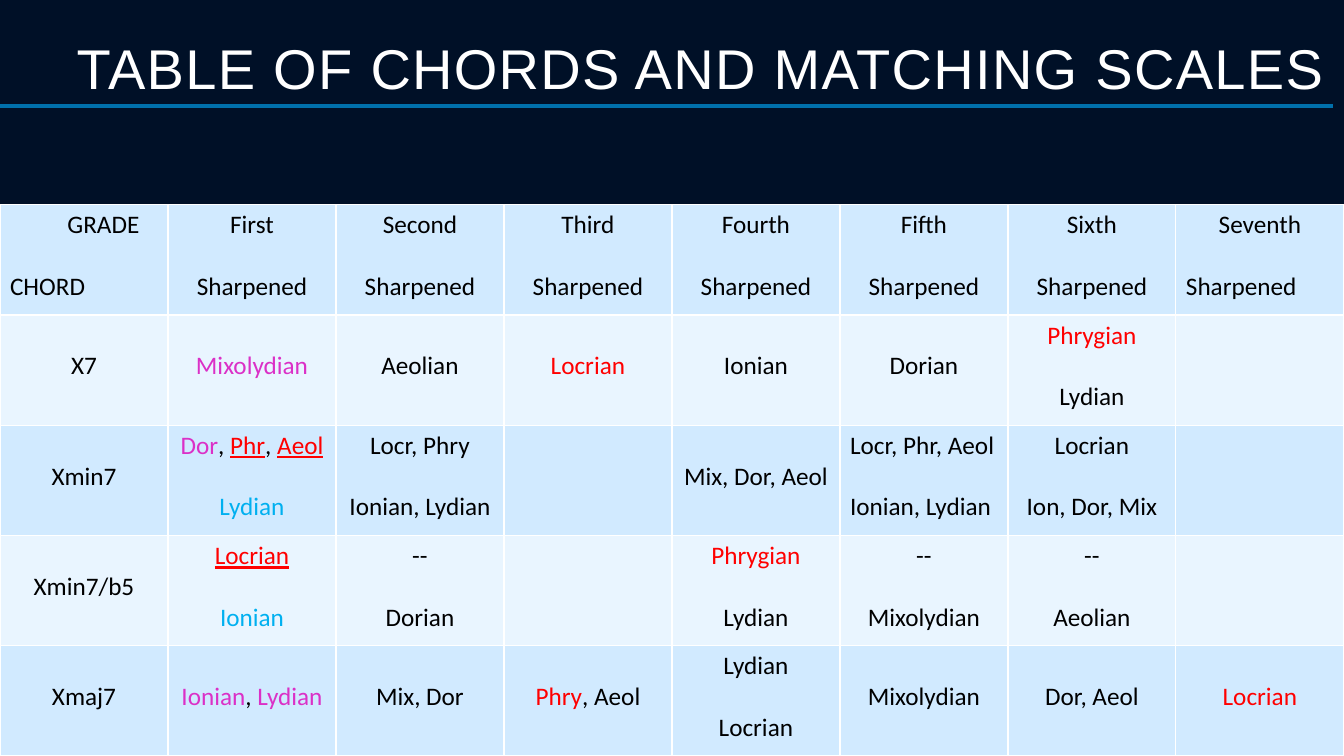
from dataclasses import dataclass

from lxml import etree
from pptx import Presentation
from pptx.dml.color import RGBColor
from pptx.enum.shapes import MSO_CONNECTOR
from pptx.enum.text import MSO_ANCHOR, PP_ALIGN
from pptx.oxml.ns import qn
from pptx.util import Pt

LEFT, CENTER, JUSTIFY = PP_ALIGN.LEFT, PP_ALIGN.CENTER, PP_ALIGN.JUSTIFY
MIDDLE = MSO_ANCHOR.MIDDLE
STRAIGHT = MSO_CONNECTOR.STRAIGHT


@dataclass(frozen=True)
class Theme:
    background: str = "001027"
    title: str = "FFFFFF"
    rule: str = "0070AB"
    border: str = "FFFFFF"
    bands: tuple = ("D1EAFF", "E9F5FF")
    text: str = "000000"
    pink: str = "DB30C7"
    red: str = "FF0000"
    blue: str = "00B0F0"
    title_font: str = "Arial"
    table_font: str = "Calibri"
    title_size: int = 40
    table_size: int = 18
    line_gap: int = 22


THEME = Theme()
SLIDE_W, SLIDE_H = 960, 540


@dataclass(frozen=True)
class Ink:
    text: str
    color: str = THEME.text
    underline: bool = False


def pink(text):
    return Ink(text, THEME.pink)


def red(text, underline=False):
    return Ink(text, THEME.red, underline)


def blue(text):
    return Ink(text, THEME.blue)


# A cell is a list of lines; a line is a string, an Ink or a list of Inks.
ORDINALS = ["First", "Second", "Third", "Fourth", "Fifth", "Sixth", "Seventh"]
COMMA = Ink(", ")
ROWS = [
    [["GRADE", "CHORD"]] + [[ordinal, "Sharpened"] for ordinal in ORDINALS],
    [["X7"], [pink("Mixolydian")], ["Aeolian"], [red("Locrian")], ["Ionian"],
     ["Dorian"], [red("Phrygian"), "Lydian"], []],
    [["Xmin7"],
     [[pink("Dor"), COMMA, red("Phr", True), COMMA, red("Aeol", True)],
      blue("Lydian")],
     ["Locr, Phry", "Ionian, Lydian"], [], ["Mix, Dor, Aeol"],
     ["Locr, Phr, Aeol", "Ionian, Lydian"], ["Locrian", "Ion, Dor, Mix"], []],
    [["Xmin7/b5"], [red("Locrian", True), blue("Ionian")], ["--", "Dorian"],
     [], [red("Phrygian"), "Lydian"], ["--", "Mixolydian"],
     ["--", "Aeolian"], []],
    [["Xmaj7"], [[pink("Ionian"), COMMA, pink("Lydian")]], ["Mix, Dor"],
     [[red("Phry"), Ink(", Aeol")]], ["Lydian", "Locrian"], ["Mixolydian"],
     ["Dor, Aeol"], [red("Locrian")]],
]
# Lines that are not centred, by (row, column), with one entry for each line.
ALIGNMENTS = {(0, 0): (LEFT, LEFT), (0, 7): (CENTER, JUSTIFY),
              (2, 5): (LEFT, LEFT)}
GRADE_INDENT = 41


def rgb(value):
    return RGBColor.from_string(value)


def format_run(r, font, size, color):
    r.font.name = font
    r.font.size = Pt(size)
    r.font.color.rgb = rgb(color)


def add_title(slide, text, x, y, w, h):
    title = slide.shapes.title
    title.left, title.top, title.width, title.height = map(Pt, (x, y, w, h))
    tf = title.text_frame
    tf.text = text
    tf.word_wrap = True
    tf.vertical_anchor = MIDDLE
    p = tf.paragraphs[0]
    p.alignment = LEFT
    p.line_spacing = 0.9
    r = p.runs[0]
    format_run(r, THEME.title_font, THEME.title_size, THEME.title)
    r.font._element.set("spc", "100")


def add_rule(slide, x, y, w):
    line = slide.shapes.add_connector(STRAIGHT, Pt(x), Pt(y), Pt(x + w), Pt(y))
    line.line.color.rgb = rgb(THEME.rule)
    line.line.width = Pt(3)
    etree.SubElement(line._element.spPr, qn("a:effectLst"))


def set_borders(cell):
    tc_pr = cell._tc.get_or_add_tcPr()
    for side in ("a:lnL", "a:lnR", "a:lnT", "a:lnB"):
        ln = etree.SubElement(tc_pr, qn(side), w=str(Pt(1)))
        fill = etree.SubElement(ln, qn("a:solidFill"))
        etree.SubElement(fill, qn("a:srgbClr"), val=THEME.border)


def write_lines(tf, lines, alignments):
    for i, line in enumerate(lines):
        p = tf.add_paragraph() if i else tf.paragraphs[0]
        p.alignment = alignments[i]
        if i:
            p.space_before = Pt(THEME.line_gap)
        for ink in line if isinstance(line, list) else [line]:
            if isinstance(ink, str):
                ink = Ink(ink)
            r = p.add_run()
            r.text = ink.text
            format_run(r, THEME.table_font, THEME.table_size, ink.color)
            if ink.underline:
                r.font.underline = True


def add_scale_table(slide, rows, x, y, w, h):
    n_rows, n_cols = len(rows), len(rows[0])
    table = slide.shapes.add_table(n_rows, n_cols, Pt(x), Pt(y), Pt(w), Pt(h)).table
    table.first_row = table.horz_banding = False
    for column in table.columns:
        column.width = Pt(w / n_cols)
    for i, cells in enumerate(rows):
        table.rows[i].height = Pt(h / n_rows)
        for j, lines in enumerate(cells):
            cell = table.cell(i, j)
            set_borders(cell)
            cell.fill.solid()
            cell.fill.fore_color.rgb = rgb(THEME.bands[i % 2])
            cell.vertical_anchor = MIDDLE
            cell.margin_bottom = Pt(9)
            write_lines(cell.text_frame, lines,
                        ALIGNMENTS.get((i, j), (CENTER, CENTER)))
    grade = table.cell(0, 0).text_frame.paragraphs[0]
    grade._p.get_or_add_pPr().set("marL", str(Pt(GRADE_INDENT)))


def build_chord_slide(prs):
    slide = prs.slides.add_slide(prs.slide_layouts[5])
    slide.background.fill.solid()
    slide.background.fill.fore_color.rgb = rgb(THEME.background)
    add_title(slide, "TABLE OF CHORDS AND MATCHING SCALES", 47.5, 26.6, 923, 49)
    add_rule(slide, 0, 75.6, 952)
    table_top = 146.2
    add_scale_table(slide, ROWS, 0, table_top, SLIDE_W, SLIDE_H - table_top)


def main():
    prs = Presentation()
    prs.slide_width, prs.slide_height = Pt(SLIDE_W), Pt(SLIDE_H)
    build_chord_slide(prs)
    prs.save("out.pptx")


if __name__ == "__main__":
    main()
